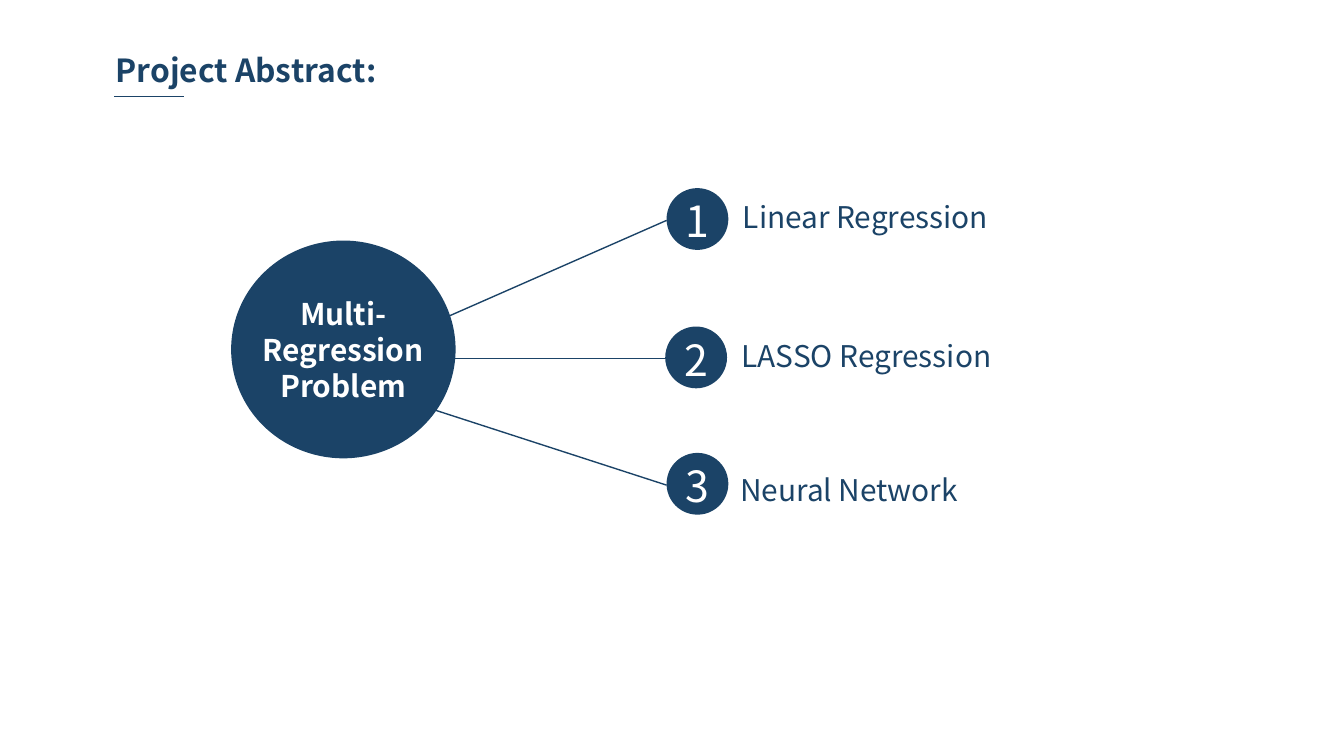
import pptx
import pptx.util
from lxml import etree
from pptx.dml.color import RGBColor
from pptx.enum.shapes import MSO_CONNECTOR, MSO_SHAPE
from pptx.enum.text import MSO_ANCHOR, PP_ALIGN
from pptx.oxml.ns import qn

NAVY, WHITE = "1B4367", "FFFFFF"
FONT = "Noto Sans CJK SC"
WIDTH = 10
HEIGHT = WIDTH * 9 / 16
DISC = 0.46
METHODS = [
    # name, disc corner, label offset from the disc, spoke start
    ("Linear Regression", (4.96, 1.40), (0.47, 0.09), (2.64, 2.66)),
    ("LASSO Regression", (4.95, 2.43), (0.47, 0.09), (3.28, 2.67)),
    ("Neural Network", (4.96, 3.37), (0.45, 0.15), (2.77, 2.90)),
]


def inches(*lengths):
    return [pptx.util.Inches(length) for length in lengths]


def colour(hex_code):
    return RGBColor.from_string(hex_code)


def write(frame, words, size, hex_code, bold=False, align=PP_ALIGN.LEFT, spacing=None):
    frame.word_wrap = True
    frame.text = words
    paragraph = frame.paragraphs[0]
    paragraph.alignment = align
    if spacing:
        paragraph.line_spacing = pptx.util.Pt(spacing)
    paragraph.font.name = FONT
    paragraph.font.size = pptx.util.Pt(size)
    paragraph.font.bold = bold
    paragraph.font.color.rgb = colour(hex_code)


def add_text(slide, box, words, size, hex_code, **style):
    frame = slide.shapes.add_textbox(*inches(*box)).text_frame
    write(frame, words, size, hex_code, **style)
    return frame


def add_line(slide, start, end):
    line = slide.shapes.add_connector(MSO_CONNECTOR.STRAIGHT, *inches(*start, *end))
    line.line.color.rgb = colour(NAVY)
    line.line.width = pptx.util.Pt(0.75)
    etree.SubElement(line._element.spPr, qn("a:effectLst"))


def add_disc(slide, box):
    disc = slide.shapes.add_shape(MSO_SHAPE.OVAL, *inches(*box))
    disc.shadow.inherit = False
    disc.fill.solid()
    disc.fill.fore_color.rgb = colour(NAVY)
    disc.line.fill.background()


def add_heading(slide, box):
    left, top, width, height = box
    title = slide.shapes.title
    title.left, title.top, title.width, title.height = inches(*box)
    frame = title.text_frame
    frame.margin_left = frame.margin_right = pptx.util.Inches(0.08)
    frame.margin_top = frame.margin_bottom = pptx.util.Inches(0.03)
    frame.vertical_anchor = MSO_ANCHOR.TOP
    write(frame, "Project Abstract:", 17, NAVY, bold=True)
    rule_y = top + height + 0.01
    add_line(slide, (left + 0.07, rule_y), (left + 0.59, rule_y))


def add_method(slide, box, number, name, label_offset):
    left, top, width, height = box
    label_left, label_top = label_offset
    add_disc(slide, (left, top, height, height))
    add_text(slide, (left, top, height, height + 0.03), str(number), 23, WHITE,
             align=PP_ALIGN.CENTER)
    add_text(slide, (left + label_left, top + label_top, width - label_left, 0.31),
             name, 16, NAVY, spacing=15)


def add_hub(slide, box):
    left, top, width, height = box
    add_disc(slide, box)
    frame = add_text(slide, (left, top + 0.36, width, height - 0.72),
                     "Multi-Regression Problem", 16, WHITE, bold=True,
                     align=PP_ALIGN.CENTER)
    frame.vertical_anchor = MSO_ANCHOR.MIDDLE


def main():
    deck = pptx.Presentation()
    deck.slide_width, deck.slide_height = inches(WIDTH, HEIGHT)
    slide = deck.slides.add_slide(deck.slide_layouts[5])
    add_heading(slide, (0.78, 0.35, 2.47, 0.36))
    for number, (name, (left, top), label_offset, spoke) in enumerate(METHODS, 1):
        add_line(slide, spoke, (4.96, top + DISC / 2 + 0.01))
        add_method(slide, (left, top, 2.6, DISC), number, name, label_offset)
    add_hub(slide, (1.72, 1.79, 1.67, 1.62))
    deck.save("out.pptx")


if __name__ == "__main__":
    main()
